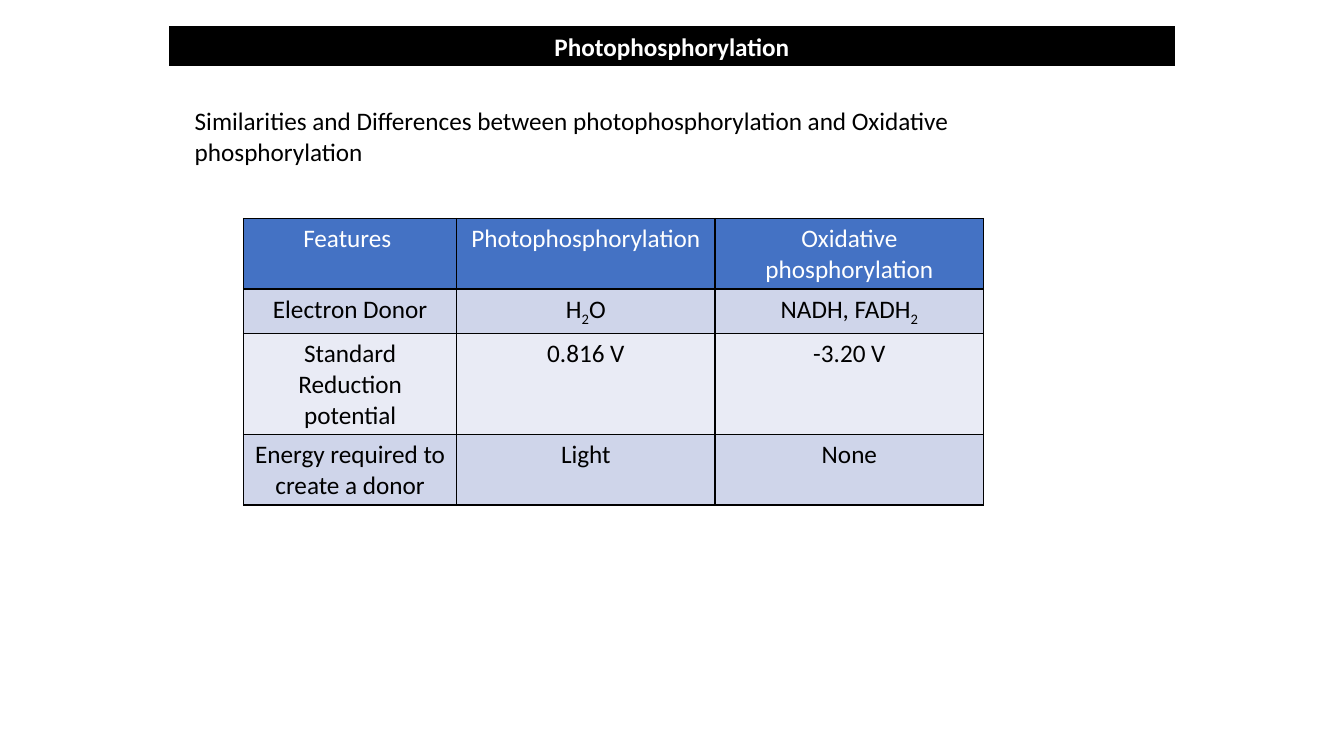
import pptx
import pptx.dml.color
import pptx.enum.shapes
import pptx.enum.text
import pptx.oxml.ns
import pptx.util
from lxml import etree

EMU_PER_PX = 9525
BLACK, WHITE = "000000", "FFFFFF"
HEADER_FILL = "4472C4"
BAND_FILLS = ["CFD5EA", "E9EBF5"]
CENTER = pptx.enum.text.PP_ALIGN.CENTER

COLUMN_WIDTHS = [203, 246, 256]
ROW_HEIGHT = 39
# Each cell holds run texts; every second run is a subscript.
COMPARISON = [
    [["Features "], ["Photophosphorylation"], ["Oxidative phosphorylation"]],
    [["Electron Donor"], ["H", "2", "O"], ["NADH, FADH", "2"]],
    [["Standard Reduction potential"], ["0.816 V"], ["-3.20 V"]],
    [["Energy required to create a donor"], ["Light"], ["None"]],
]


def px(*lengths):
    return [pptx.util.Emu(length * EMU_PER_PX) for length in lengths]


def rgb(hex_color):
    return pptx.dml.color.RGBColor.from_string(hex_color)


def paint(fill, hex_color):
    fill.solid()
    fill.fore_color.rgb = rgb(hex_color)


def write(text_frame, texts, color, align=None, bold=False):
    """Fill the first paragraph with runs, alternating normal and subscript."""
    text_frame.word_wrap = True
    paragraph = text_frame.paragraphs[0]
    paragraph.alignment = align
    for index, text in enumerate(texts):
        run = paragraph.add_run()
        run.text = text
        run.font.name = "Calibri"
        run.font.size = pptx.util.Pt(18)
        run.font.bold = bold
        run.font.color.rgb = rgb(color)
        if index % 2:
            run.font._element.set("baseline", "-25000")


def add_title_bar(slide, title):
    bar = slide.shapes.add_shape(
        pptx.enum.shapes.MSO_SHAPE.RECTANGLE, *px(160, 24, 960, 40))
    bar.shadow.inherit = False
    paint(bar.fill, BLACK)
    bar.line.color.rgb = rgb(WHITE)
    bar.line.width = pptx.util.Pt(1.5)
    write(bar.text_frame, [title], WHITE, CENTER, bold=True)


def add_heading(slide, heading):
    box = slide.shapes.add_textbox(*px(176, 96, 816, 68))
    write(box.text_frame, [heading], BLACK)


def add_borders(cell):
    qn = pptx.oxml.ns.qn
    properties = cell._tc.get_or_add_tcPr()
    for side in ("a:lnL", "a:lnR", "a:lnT", "a:lnB"):
        border = etree.SubElement(properties, qn(side), w=str(pptx.util.Pt(1)))
        fill = etree.SubElement(border, qn("a:solidFill"))
        etree.SubElement(fill, qn("a:srgbClr"), val=BLACK)


def add_comparison_table(slide):
    size = px(sum(COLUMN_WIDTHS), ROW_HEIGHT * len(COMPARISON))
    table = slide.shapes.add_table(
        len(COMPARISON), len(COLUMN_WIDTHS), *px(232, 208), *size).table
    for column, width in zip(table.columns, px(*COLUMN_WIDTHS)):
        column.width = width
    for row_index, features in enumerate(COMPARISON):
        is_header = row_index == 0
        fill = HEADER_FILL if is_header else BAND_FILLS[(row_index - 1) % 2]
        for column_index, texts in enumerate(features):
            cell = table.cell(row_index, column_index)
            add_borders(cell)
            paint(cell.fill, fill)
            write(cell.text_frame, texts, WHITE if is_header else BLACK, CENTER)


def main():
    deck = pptx.Presentation()
    deck.slide_width, deck.slide_height = px(1280, 720)
    slide = deck.slides.add_slide(deck.slide_layouts[6])
    add_title_bar(slide, "Photophosphorylation")
    add_heading(slide, "Similarities and Differences between "
                       "photophosphorylation and Oxidative phosphorylation")
    add_comparison_table(slide)
    deck.save("out.pptx")


if __name__ == "__main__":
    main()
